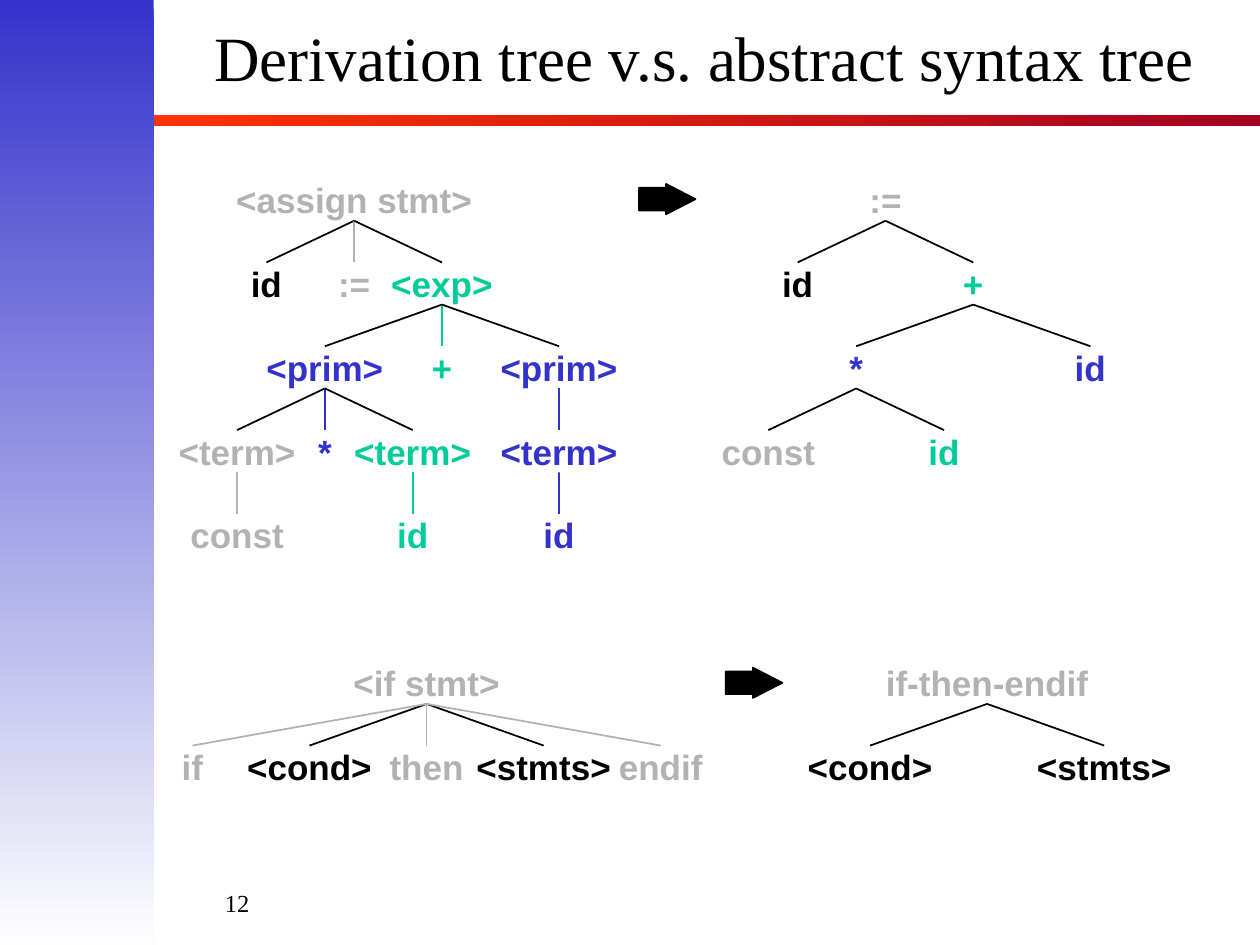
from dataclasses import dataclass

from lxml import etree
from pptx import Presentation
from pptx import util as u
from pptx.dml.color import RGBColor
from pptx.enum import shapes, text
from pptx.oxml import ns


@dataclass(frozen=True)
class Theme:
    black: str = "000000"
    grey: str = "B2B2B2"
    green: str = "00CC99"
    blue: str = "3333CC"
    white: str = "FEFEFE"
    orange: str = "FF3300"
    crimson: str = "A50021"
    title_size: int = 36
    node_size: int = 20
    number_size: int = 14
    serif: str = "Times New Roman"
    sans: str = "Arial"


theme = Theme()
BLACK, GREY, GREEN, BLUE = theme.black, theme.grey, theme.green, theme.blue


def write_text(frame, words, font=theme.serif, size=theme.node_size, color=BLACK,
               bold=False, align=text.PP_ALIGN.CENTER, anchor=text.MSO_ANCHOR.MIDDLE,
               wrap=True, margins=(0.25, 0.13), line_spacing=None):
    """Fill a text frame with one formatted paragraph; margins are (side, top) in cm."""
    frame.word_wrap = wrap
    frame.auto_size = text.MSO_AUTO_SIZE.NONE
    frame.vertical_anchor = anchor
    frame.margin_left = frame.margin_right = u.Cm(margins[0])
    frame.margin_top = frame.margin_bottom = u.Cm(margins[1])
    paragraph = frame.paragraphs[0]
    paragraph.alignment = align
    paragraph.line_spacing = line_spacing
    run = paragraph.add_run()
    run.text = words
    run.font.name = font
    run.font.size = u.Pt(size)
    run.font.bold = bold
    run.font.color.rgb = RGBColor.from_string(color)


presentation = Presentation()
presentation.slide_width = u.Cm(25.4)
presentation.slide_height = u.Cm(19.05)
slide = presentation.slides.add_slide(presentation.slide_layouts[5])

# Rule under the title and side band: left, top, width, height, angle, colours
bands = [
    (3.05, 2.32, 22.35, 0.23, 0, theme.orange, theme.crimson),
    (0, 0, 3.1, 19.05, 270, theme.blue, theme.white),
]
for left, top, width, height, angle, first, last in bands:
    band = slide.shapes.add_shape(shapes.MSO_SHAPE.RECTANGLE, u.Cm(left), u.Cm(top),
                                  u.Cm(width), u.Cm(height))
    band.shadow.inherit = False
    band.line.fill.background()
    band.fill.gradient()
    band.fill.gradient_angle = angle
    for stop, color in zip(band.fill.gradient_stops, (first, last)):
        stop.color.rgb = RGBColor.from_string(color)

title = slide.shapes.title
title.left, title.top, title.width, title.height = u.Cm(3), u.Cm(0.43), u.Cm(22.4), u.Cm(1.7)
write_text(title.text_frame, "Derivation tree v.s. abstract syntax tree",
           size=theme.title_size, line_spacing=0.8)

# Trees sit on a grid: a node is (words, column, row, colour, parent index, branch colour)
COLUMN, ROW, NODE_HEIGHT = 0.586, 1.69, 0.85
COLUMN = round(COLUMN, 2)
NODE_WIDTHS = {
    "<assign stmt>": 4.75, "<if stmt>": 2.95, "if-then-endif": 4.09, "<cond>": 2.51,
    "<stmts>": 2.72, "<term>": 2.36, "<prim>": 2.36, "<exp>": 2.06, "const": 1.88,
    "endif": 1.7, "then": 1.5, ":=": 0.66, "*": 0.66, "id": 0.64, "if": 0.43, "+": 0.41,
}
trees = [
    (4.78, 3.6, [
        ("<assign stmt>", 4, 0, GREY, None, None),
        ("id", 1, 1, BLACK, 0, BLACK),
        (":=", 4, 1, GREY, 0, GREY),
        ("<exp>", 7, 1, GREEN, 0, BLACK),
        ("<prim>", 3, 2, BLUE, 3, BLACK),
        ("+", 7, 2, GREEN, 3, GREEN),
        ("<prim>", 11, 2, BLUE, 3, BLACK),
        ("<term>", 0, 3, GREY, 4, BLACK),
        ("*", 3, 3, BLUE, 4, BLUE),
        ("<term>", 6, 3, GREEN, 4, BLACK),
        ("<term>", 11, 3, BLUE, 6, BLUE),
        ("const", 0, 4, GREY, 7, GREY),
        ("id", 6, 4, GREEN, 9, GREEN),
        ("id", 11, 4, BLUE, 10, BLUE),
    ]),
    (15.49, 3.6, [
        (":=", 4, 0, GREY, None, None),
        ("id", 1, 1, BLACK, 0, BLACK),
        ("+", 7, 1, GREEN, 0, BLACK),
        ("*", 3, 2, BLUE, 2, BLACK),
        ("id", 11, 2, BLUE, 2, BLACK),
        ("const", 0, 3, GREY, 3, BLACK),
        ("id", 6, 3, GREEN, 3, BLACK),
    ]),
    (3.88, 13.34, [
        ("<if stmt>", 8, 0, GREY, None, None),
        ("<cond>", 4, 1, BLACK, 0, BLACK),
        ("then", 8, 1, GREY, 0, GREY),
        ("<stmts>", 12, 1, BLACK, 0, BLACK),
        ("if", 0, 1, GREY, 0, GREY),
        ("endif", 16, 1, GREY, 0, GREY),
    ]),
    (17.54, 13.34, [
        ("if-then-endif", 4, 0, GREY, None, None),
        ("<cond>", 0, 1, BLACK, 0, BLACK),
        ("<stmts>", 8, 1, BLACK, 0, BLACK),
    ]),
]
for left, top, nodes in trees:
    boxes = []
    for words, column, row, color, parent, branch_color in nodes:
        width = NODE_WIDTHS[words]
        box = slide.shapes.add_textbox(u.Cm(left + column * COLUMN - width / 2),
                                       u.Cm(top + row * ROW), u.Cm(width), u.Cm(NODE_HEIGHT))
        write_text(box.text_frame, words, font=theme.sans, color=color, bold=True,
                   wrap=False, margins=(0, 0))
        boxes.append(box)
        if parent is None:
            continue
        branch = slide.shapes.add_connector(shapes.MSO_CONNECTOR.STRAIGHT, 0, 0, 0, 0)
        branch.begin_connect(boxes[parent], 2)
        branch.end_connect(box, 0)
        branch.line.width = u.Pt(1)
        branch.line.color.rgb = RGBColor.from_string(branch_color)
        etree.SubElement(branch._element.spPr, ns.qn("a:effectLst"))

# Arrows from each derivation tree to its abstract syntax tree
for left, top in [(12.88, 3.71), (14.63, 13.46)]:
    arrow = slide.shapes.add_shape(shapes.MSO_SHAPE.RIGHT_ARROW, u.Cm(left), u.Cm(top),
                                   u.Cm(1.14), u.Cm(0.61))
    arrow.adjustments[0], arrow.adjustments[1] = 0.75, 0.97
    arrow.shadow.inherit = False
    arrow.fill.solid()
    arrow.fill.fore_color.rgb = RGBColor.from_string(BLACK)
    arrow.line.color.rgb = RGBColor.from_string(BLACK)
    arrow.line.width = u.Pt(1)

page_number = slide.shapes.add_textbox(0, u.Cm(17.78), u.Cm(5.28), u.Cm(1.27))
write_text(page_number.text_frame, "12", size=theme.number_size,
           align=text.PP_ALIGN.RIGHT, anchor=text.MSO_ANCHOR.TOP)

presentation.save("out.pptx")
